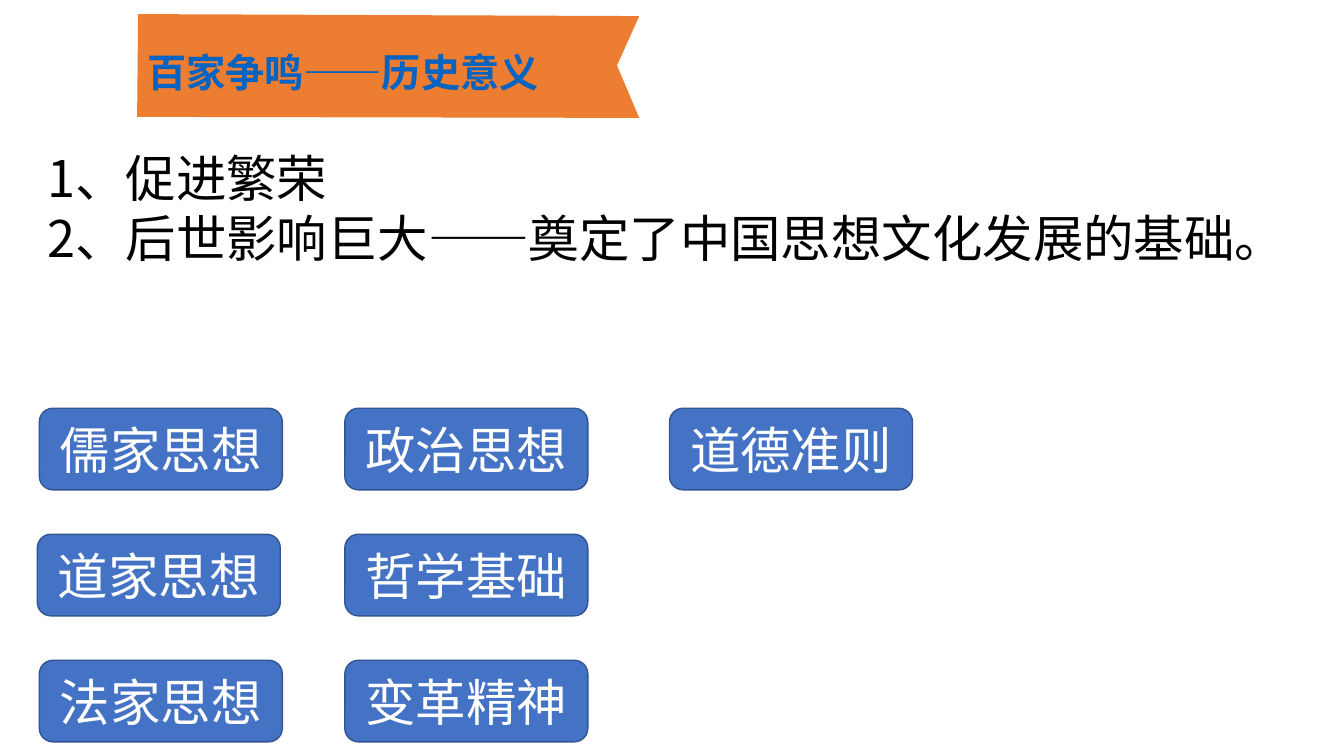
import lxml.etree
import pptx
import pptx.dml.color
import pptx.enum.shapes
import pptx.enum.text
import pptx.oxml.ns
import pptx.util
from pptx.util import Inches

ORANGE = pptx.dml.color.RGBColor(0xED, 0x7D, 0x31)
BLUE = pptx.dml.color.RGBColor(0x44, 0x72, 0xC4)
BORDER_BLUE = pptx.dml.color.RGBColor(0x32, 0x54, 0x91)
TITLE_BLUE = pptx.dml.color.RGBColor(0x05, 0x63, 0xC1)
BLACK = pptx.dml.color.RGBColor(0, 0, 0)
WHITE = pptx.dml.color.RGBColor(0xFF, 0xFF, 0xFF)
CJK_FONT = "Noto Sans CJK SC"


def style_text(frame, size, color, latin=CJK_FONT, bold=False):
    """Set the font of every paragraph, including its East Asian typeface."""
    for paragraph in frame.paragraphs:
        font = paragraph.font
        font.size = pptx.util.Pt(size)
        font.bold = bold
        font.color.rgb = color
        font.name = latin
        defaults = paragraph._p.pPr.find(pptx.oxml.ns.qn("a:defRPr"))
        east_asian = lxml.etree.SubElement(defaults, pptx.oxml.ns.qn("a:ea"))
        east_asian.set("typeface", CJK_FONT)


presentation = pptx.Presentation()
presentation.slide_width = Inches(13.33)
presentation.slide_height = Inches(7.5)
slide = presentation.slides.add_slide(presentation.slide_layouts[6])
shapes = slide.shapes

# Significance points
points = shapes.add_textbox(Inches(0.37), Inches(1.41), Inches(12.67), Inches(1.31)).text_frame
points.word_wrap = True
points.text = "1、促进繁荣\n2、后世影响巨大——奠定了中国思想文化发展的基础。"
style_text(points, 36, BLACK)

# Schools in the first column, their legacies to the right
school_rows = [
    [(0.39, "儒家思想"), (3.42, "政治思想"), (6.64, "道德准则")],
    [(0.37, "道家思想"), (3.42, "哲学基础")],
    [(0.39, "法家思想"), (3.42, "变革精神")],
]
for row, ideas in enumerate(school_rows):
    for left, idea in ideas:
        card = shapes.add_shape(
            pptx.enum.shapes.MSO_SHAPE.ROUNDED_RECTANGLE,
            Inches(left), Inches(4.05 + 1.25 * row), Inches(2.41), Inches(0.81))
        card.shadow.inherit = False
        card.fill.solid()
        card.fill.fore_color.rgb = BLUE
        card.line.color.rgb = BORDER_BLUE
        card.line.width = pptx.util.Pt(1)
        label = card.text_frame
        label.text = idea
        label.vertical_anchor = pptx.enum.text.MSO_ANCHOR.MIDDLE
        label.paragraphs[0].alignment = pptx.enum.text.PP_ALIGN.CENTER
        style_text(label, 36, WHITE)

# Title ribbon
outline = [(1.36, 1.16), (6.34, 1.17), (6.12, 0.65), (6.34, 0.16), (1.37, 0.14)]
corners = [(Inches(x), Inches(y)) for x, y in outline]
builder = shapes.build_freeform(*corners[0])
builder.add_line_segments(corners[1:], close=True)
ribbon = builder.convert_to_shape()
ribbon.shadow.inherit = False
ribbon.fill.solid()
ribbon.fill.fore_color.rgb = ORANGE
ribbon.line.fill.background()

title = shapes.add_textbox(Inches(1.36), Inches(0.43), Inches(4.32), Inches(0.57)).text_frame
title.word_wrap = True
title.text = "百家争鸣——历史意义"
style_text(title, 28, TITLE_BLUE, latin="Arial", bold=True)

presentation.save("out.pptx")
